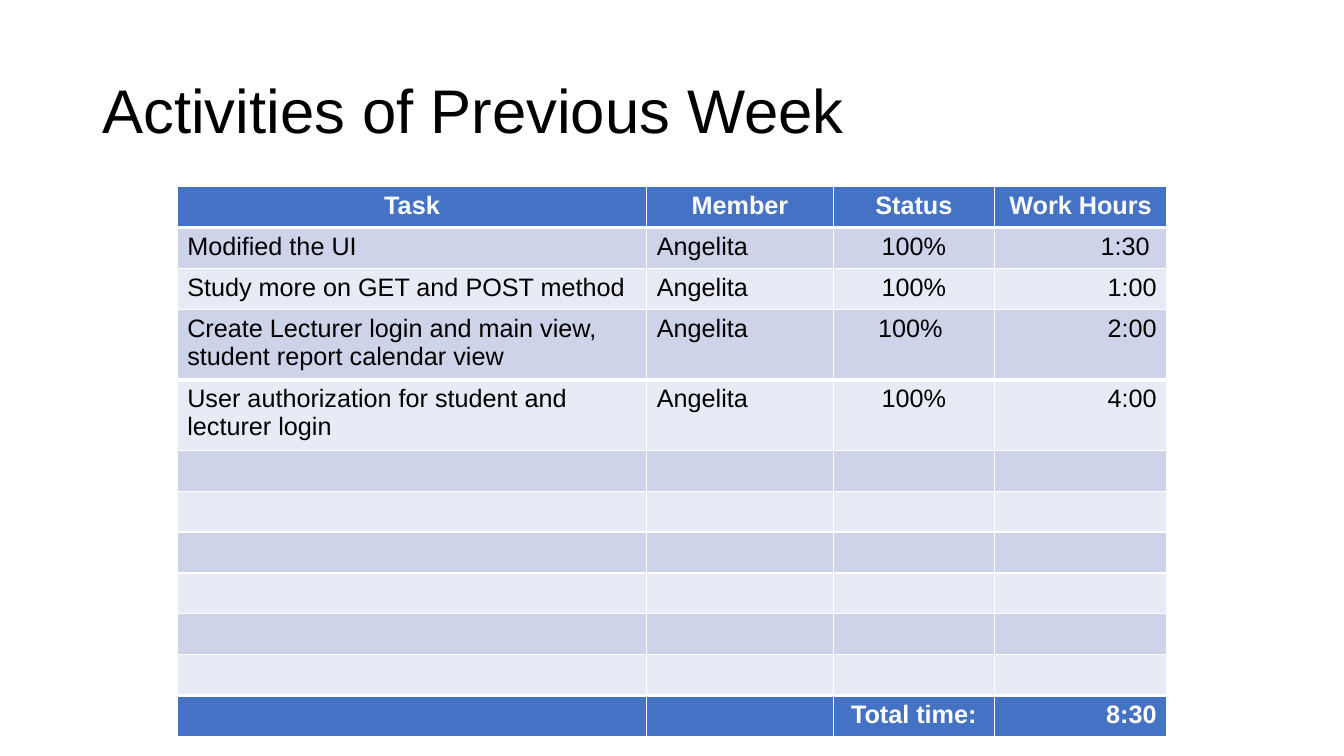
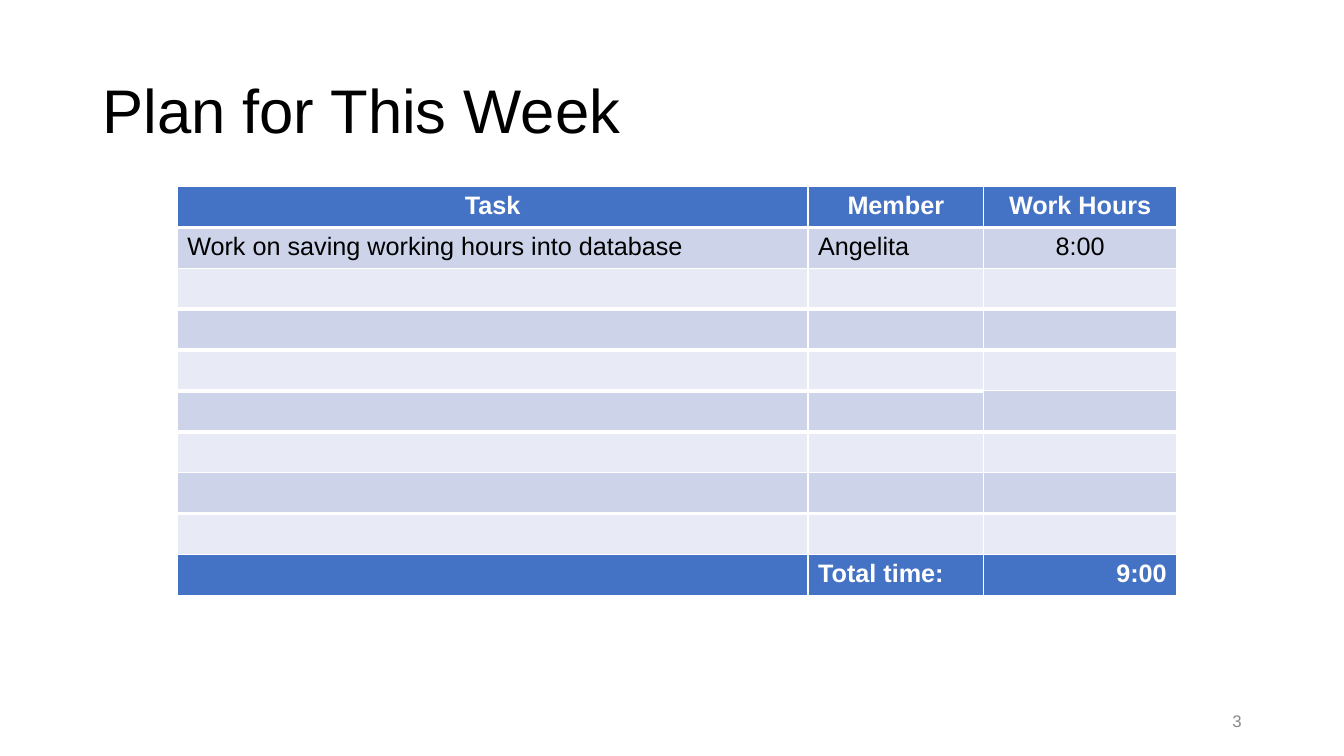
from dataclasses import dataclass

from lxml.etree import SubElement
from pptx import Presentation
from pptx.dml.color import RGBColor
from pptx.enum.text import MSO_ANCHOR, PP_ALIGN
from pptx.oxml.ns import qn
from pptx.util import Inches, Pt

SLIDE_WIDTH, SLIDE_HEIGHT = 13.33, 7.5
GRID_COLUMNS, GRID_ROWS = 160, 90
LEFT, CENTER, RIGHT = PP_ALIGN.LEFT, PP_ALIGN.CENTER, PP_ALIGN.RIGHT


@dataclass(frozen=True)
class Theme:
    """Colours, type sizes and line widths shared by all slides."""
    font: str = "Arial"
    text: str = "000000"
    inverse: str = "FFFFFF"
    muted: str = "888888"
    accent: str = "4472C4"
    bands: tuple = ("CDD4EA", "E8EBF5")
    border: str = "FFFFFF"
    title_size: int = 44
    body_size: int = 18
    footer_size: int = 12
    thin: int = 1
    thick: int = 3


THEME = Theme()
TITLE_BOX = (11, 4.8, 138, 17.4)
NUMBER_BOX = (113, 83.4, 36, 4.8)
TABLE_LEFT, TABLE_TOP, TABLE_ROW = 21.1, 22.2, 4.87


def across(columns):
    """Turn grid columns into a length."""
    return Inches(SLIDE_WIDTH * columns / GRID_COLUMNS)


def down(rows):
    """Turn grid rows into a length."""
    return Inches(SLIDE_HEIGHT * rows / GRID_ROWS)


def write(text_frame, text, size, color, alignment=LEFT, bold=False):
    """Set one paragraph of text and format it."""
    text_frame.text = text
    paragraph = text_frame.paragraphs[0]
    paragraph.alignment = alignment
    for run in paragraph.runs:
        run.font.name = THEME.font
        run.font.size = Pt(size)
        run.font.bold = bold
        run.font.color.rgb = RGBColor.from_string(color)
    return paragraph


def add_text(slide, box, text, size, color, alignment=LEFT):
    """Add a wrapped, vertically centred text box on the grid."""
    left, top, width, height = box
    shape = slide.shapes.add_textbox(across(left), down(top), across(width), down(height))
    shape.text_frame.word_wrap = True
    shape.text_frame.vertical_anchor = MSO_ANCHOR.MIDDLE
    return write(shape.text_frame, text, size, color, alignment)


def add_title(slide, text):
    """Add the slide title."""
    paragraph = add_text(slide, TITLE_BOX, text, THEME.title_size, THEME.text)
    paragraph.line_spacing = 0.9


def set_borders(cell, top, bottom):
    """Draw the four cell borders; the sides are always thin."""
    properties = cell._tc.get_or_add_tcPr()
    for side, width in (("L", THEME.thin), ("R", THEME.thin), ("T", top), ("B", bottom)):
        line = SubElement(properties, qn(f"a:ln{side}"), w=str(Pt(width)))
        fill = SubElement(line, qn("a:solidFill"))
        SubElement(fill, qn("a:srgbClr"), val=THEME.border)


def add_task_table(slide, widths, alignments, header, tasks, blank_rows, total,
                   total_alignments, thick_below):
    """Add a task table; thick_below maps a row to its count of thick-ruled cells."""
    column_count = len(widths)
    rows = [header, *tasks, *[[""] * column_count] * blank_rows, total]
    last = len(rows) - 1
    frame = slide.shapes.add_table(
        len(rows), column_count, across(TABLE_LEFT), down(TABLE_TOP),
        across(sum(widths)), down(TABLE_ROW * len(rows)))
    table = frame.table
    table.first_row = table.horz_banding = False
    for column, width in zip(table.columns, widths):
        column.width = across(width)

    def rule(row, column):
        """Return the width of the rule below a cell."""
        return THEME.thick if column < thick_below.get(row, 0) else THEME.thin

    for row, texts in enumerate(rows):
        table.rows[row].height = down(TABLE_ROW)
        strong = row in (0, last)
        fill = THEME.accent if strong else THEME.bands[(row - 1) % 2]
        color = THEME.inverse if strong else THEME.text
        row_alignments = {0: [CENTER] * column_count, last: total_alignments}.get(row, alignments)
        for column, text in enumerate(texts):
            cell = table.cell(row, column)
            set_borders(cell, rule(row - 1, column), rule(row, column))
            cell.fill.solid()
            cell.fill.fore_color.rgb = RGBColor.from_string(fill)
            write(cell.text_frame, text, THEME.body_size, color, row_alignments[column], strong)


def add_previous_week(slide):
    """Build the slide on finished activities."""
    add_title(slide, "Activities of Previous Week")
    add_task_table(
        slide,
        widths=(55.9, 22.2, 19.2, 20.5),
        alignments=(LEFT, LEFT, CENTER, RIGHT),
        header=("Task", "Member", "Status", "Work Hours"),
        tasks=(
            ("Modified the UI", "Angelita", "100%", "1:30 "),
            ("Study more on GET and POST method", "Angelita", "100%", "1:00"),
            ("Create Lecturer login and main view, student report calendar view",
             "Angelita", "100% ", "2:00"),
            ("User authorization for student and lecturer login", "Angelita", "100%", "4:00"),
        ),
        blank_rows=6,
        total=("", "", "Total time:", "8:30"),
        total_alignments=(LEFT, LEFT, CENTER, RIGHT),
        thick_below={0: 4, 3: 4, 10: 4})


def add_this_week(slide):
    """Build the slide on planned work."""
    add_title(slide, "Plan for This Week")
    add_task_table(
        slide,
        widths=(75.1, 20.9, 23),
        alignments=(LEFT, LEFT, CENTER),
        header=("Task", "Member", "Work Hours"),
        tasks=(("Work on saving working hours into database", "Angelita", "8:00"),),
        blank_rows=7,
        total=("", "Total time:", "9:00"),
        total_alignments=(LEFT, LEFT, RIGHT),
        thick_below={0: 3, 2: 3, 3: 3, 4: 2, 5: 3, 7: 3})
    add_text(slide, NUMBER_BOX, "3", THEME.footer_size, THEME.muted, RIGHT)


def main():
    """Build and save the presentation."""
    presentation = Presentation()
    presentation.slide_width = Inches(SLIDE_WIDTH)
    presentation.slide_height = Inches(SLIDE_HEIGHT)
    blank_layout = presentation.slide_layouts[6]
    for build in (add_previous_week, add_this_week):
        build(presentation.slides.add_slide(blank_layout))
    presentation.save("out.pptx")


main()
